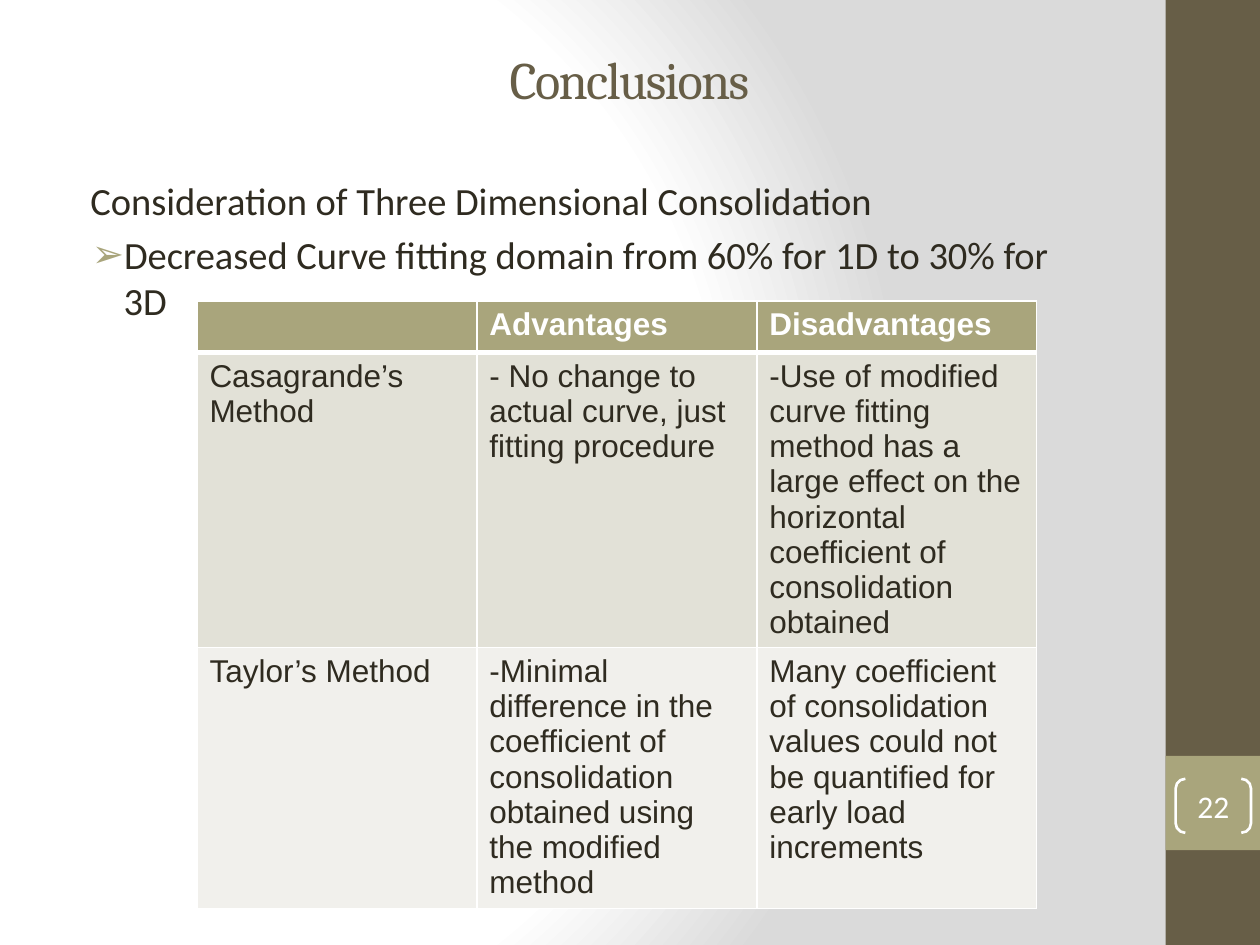
import pptx
import pptx.dml.color
import pptx.enum.shapes
import pptx.enum.text
import pptx.oxml
import pptx.oxml.ns
import pptx.util
from lxml import etree
from pptx.dml.color import RGBColor
from pptx.util import Cm, Pt

BROWN = RGBColor(0x67, 0x5E, 0x47)
OLIVE = RGBColor(0xA9, 0xA5, 0x7C)
INK = RGBColor(0x2F, 0x2B, 0x20)
WHITE = RGBColor(0xFF, 0xFF, 0xFF)
GREY = RGBColor(0xDA, 0xDA, 0xDA)
BAND_DARK = RGBColor(0xE2, 0xE1, 0xD7)
BAND_LIGHT = RGBColor(0xF1, 0xF0, 0xEC)

ROWS = [
    ["", "Advantages", "Disadvantages"],
    ["Casagrande’s Method",
     "- No change to actual curve, just fitting procedure",
     "-Use of modified curve fitting method has a large effect on the "
     "horizontal coefficient of consolidation obtained"],
    ["Taylor’s Method",
     "-Minimal difference in the coefficient of consolidation obtained "
     "using the modified method",
     "Many coefficient of consolidation values could not be quantified "
     "for early load increments"],
]
ROW_FILLS = [OLIVE, BAND_DARK, BAND_LIGHT]
ROW_HEIGHTS = [Cm(0.99), Cm(5.95), Cm(5.26)]


def set_background(s):
    """Fill the slide with a circular gradient, white to grey."""
    stops = "".join(
        f'<a:gs pos="{pos * 1000}"><a:srgbClr val="{color}"/></a:gs>'
        for pos, color in [(0, WHITE), (75, WHITE), (100, GREY)])
    bg = pptx.oxml.parse_xml(
        f'<p:bg {pptx.oxml.ns.nsdecls("p", "a")}><p:bgPr>'
        f'<a:gradFill rotWithShape="1"><a:gsLst>{stops}</a:gsLst>'
        '<a:path path="circle"><a:fillToRect l="20000" t="50000" '
        'r="100000" b="50000"/></a:path></a:gradFill>'
        '<a:effectLst/></p:bgPr></p:bg>')
    s.element.cSld.insert(0, bg)


def place(sp, left, top, width, height):
    sp.left, sp.top, sp.width, sp.height = left, top, width, height


def format_run(r, font, size, color, bold=False):
    r.font.name = font
    r.font.size = Pt(size)
    r.font.color.rgb = color
    r.font.bold = bold


def add_side_block(s, top, height, color):
    sp = s.shapes.add_shape(pptx.enum.shapes.MSO_SHAPE.RECTANGLE,
                            Cm(23.5), top, Cm(1.9), height)
    sp.shadow.inherit = False
    sp.fill.solid()
    sp.fill.fore_color.rgb = color
    sp.line.fill.background()


def add_page_number(s, text):
    sp = s.shapes.add_shape(pptx.enum.shapes.MSO_SHAPE.DOUBLE_BRACKET,
                            Cm(23.7), Cm(15.7), Cm(1.52), Cm(1.09))
    sp.adjustments[0] = 0.18
    sp.shadow.inherit = False
    sp.fill.background()
    sp.line.color.rgb = WHITE
    sp.line.width = Pt(1.5)
    tf = sp.text_frame
    tf.margin_left = tf.margin_right = tf.margin_top = tf.margin_bottom = 0
    tf.vertical_anchor = pptx.enum.text.MSO_ANCHOR.MIDDLE
    tf.text = text
    p = tf.paragraphs[0]
    p.alignment = pptx.enum.text.PP_ALIGN.CENTER
    format_run(p.runs[0], "Calibri", 18, WHITE)


def fill_title(sp, text):
    place(sp, Cm(2.11), Cm(0), Cm(21.16), Cm(3.18))
    tf = sp.text_frame
    tf.text = text
    tf.vertical_anchor = pptx.enum.text.MSO_ANCHOR.MIDDLE
    p = tf.paragraphs[0]
    p.alignment = pptx.enum.text.PP_ALIGN.CENTER
    r = p.runs[0]
    format_run(r, "Cambria", 30, BROWN)
    r.font._element.set("spc", "-100")


def set_bullet(p, char, left, indent):
    """Set the indents in cm, and a coloured bullet, or none for no char."""
    pPr = p._p.get_or_add_pPr()
    pPr.set("marL", str(Cm(left)))
    pPr.set("indent", str(Cm(indent)))
    qn = pptx.oxml.ns.qn
    if char:
        clr = etree.SubElement(pPr, qn("a:buClr"))
        etree.SubElement(clr, qn("a:srgbClr"), val=str(OLIVE))
        etree.SubElement(pPr, qn("a:buFont"), typeface="Arial")
        etree.SubElement(pPr, qn("a:buChar"), char=char)
    else:
        etree.SubElement(pPr, qn("a:buNone"))


def fill_body(sp, items):
    place(sp, Cm(1.27), Cm(3.45), Cm(21.16), Cm(13.34))
    tf = sp.text_frame
    tf.text = "\n".join(text for text, *_ in items)
    for i, (p, (_, *bullet)) in enumerate(zip(tf.paragraphs, items)):
        set_bullet(p, *bullet)
        p.space_before = Pt(4.4 if i else 0)
        format_run(p.runs[0], "Calibri", 22, INK)


def set_borders(cell, widths):
    """Draw white borders, with widths in points for L, R, T and B."""
    tcPr = cell._tc.get_or_add_tcPr()
    for i, (side, width) in enumerate(zip("LRTB", widths)):
        tcPr.insert(i, pptx.oxml.parse_xml(
            f'<a:ln{side} {pptx.oxml.ns.nsdecls("a")} w="{Pt(width)}">'
            f'<a:solidFill><a:srgbClr val="{WHITE}"/></a:solidFill>'
            f'</a:ln{side}>'))


def add_comparison_table(s):
    table = s.shapes.add_table(len(ROWS), len(ROWS[0]), Cm(3.97), Cm(6.07),
                               Cm(16.93), sum(ROW_HEIGHTS)).table
    for i, texts in enumerate(ROWS):
        table.rows[i].height = ROW_HEIGHTS[i]
        header = i == 0
        for j, text in enumerate(texts):
            cell = table.cell(i, j)
            cell.fill.solid()
            cell.fill.fore_color.rgb = ROW_FILLS[i]
            set_borders(cell, (1, 1, 3 if i == 1 else 1, 3 if header else 1))
            cell.text = text
            for r in cell.text_frame.paragraphs[0].runs:
                format_run(r, "Arial", 18, WHITE if header else INK, header)


def main():
    prs = pptx.Presentation()
    prs.slide_width, prs.slide_height = Cm(25.4), Cm(19.05)
    s = prs.slides.add_slide(prs.slide_layouts[1])
    set_background(s)
    add_side_block(s, Cm(0), prs.slide_height, BROWN)
    add_side_block(s, Cm(15.24), Cm(1.9), OLIVE)
    fill_title(s.shapes.title, "Conclusions")
    fill_body(s.placeholders[1], [
        ("Consideration of Three Dimensional Consolidation", "", 0.3, 0),
        ("Decreased Curve fitting domain from 60% for 1D to 30% for 3D",
         "➢", 0.97, -0.64),
    ])
    add_page_number(s, "22")
    add_comparison_table(s)
    prs.save("out.pptx")


if __name__ == "__main__":
    main()
